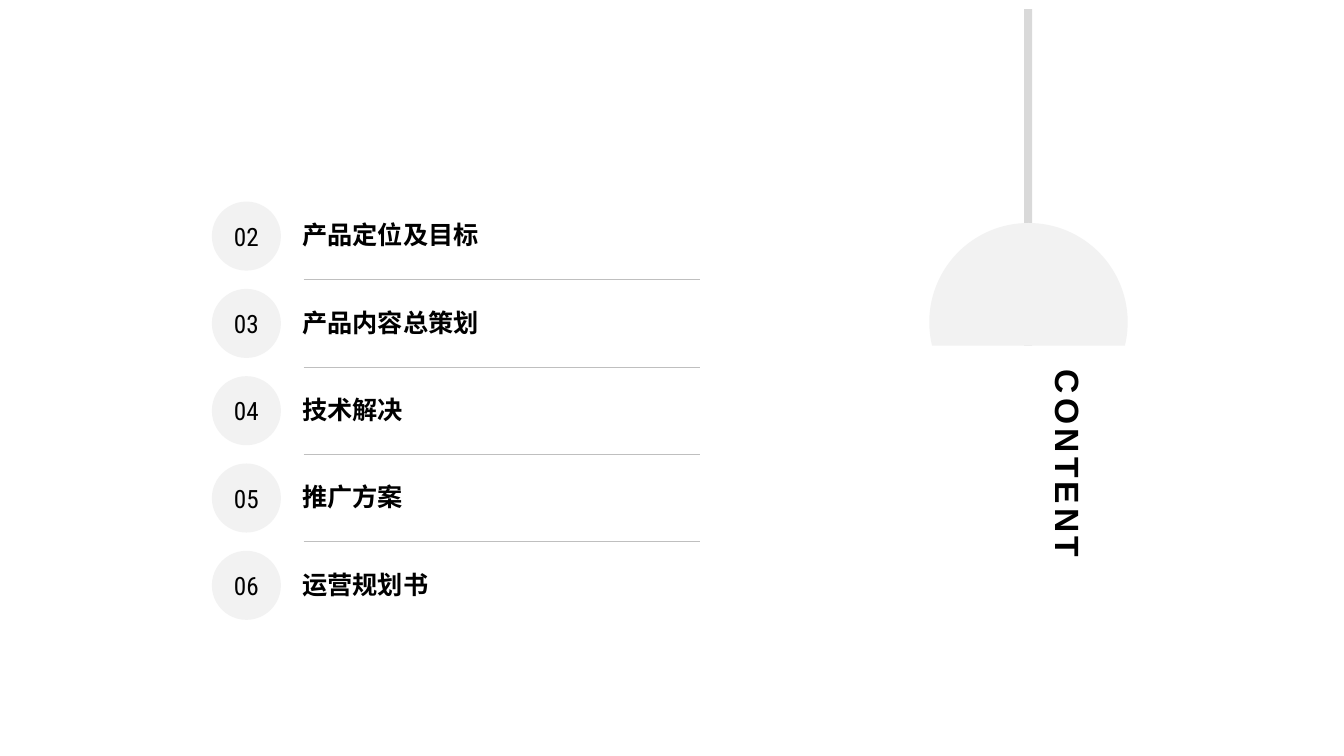
from dataclasses import dataclass
from math import asin, cos, pi, sin

from lxml import etree
from pptx import Presentation
from pptx.dml.color import RGBColor
from pptx.enum.shapes import MSO_CONNECTOR, MSO_SHAPE
from pptx.enum.text import MSO_ANCHOR, PP_ALIGN
from pptx.oxml.ns import qn
from pptx.util import Cm, Pt

RECTANGLE, OVAL = MSO_SHAPE.RECTANGLE, MSO_SHAPE.OVAL
STRAIGHT = MSO_CONNECTOR.STRAIGHT
MIDDLE, CENTER = MSO_ANCHOR.MIDDLE, PP_ALIGN.CENTER


@dataclass(frozen=True)
class Theme:
    ink: RGBColor = RGBColor(0x00, 0x00, 0x00)
    disc: RGBColor = RGBColor(0xF2, 0xF2, 0xF2)
    rod: RGBColor = RGBColor(0xD9, 0xD9, 0xD9)
    rule: RGBColor = RGBColor(0xBF, 0xBF, 0xBF)
    text_font: str = "Arial"
    number_font: str = "Roboto Condensed"
    item_size: Pt = Pt(18)
    title_size: Pt = Pt(24)
    rule_width: Pt = Pt(0.25)


THEME = Theme()
CHAPTERS = ["产品定位及目标", "产品内容总策划", "技术解决", "推广方案", "运营规划书"]
FIRST_NUMBER = 2
FIRST_TOP, ROW_PITCH = 5.08, 2.2
LAMP_X, LAMP_Y, LAMP_RADIUS, LAMP_BOTTOM = 25.92, 8.12, 2.5, 8.71


def format_text(frame, text, **font_values):
    paragraph = frame.paragraphs[0]
    run = paragraph.add_run()
    run.text = text
    run.font.color.rgb = THEME.ink
    for name, value in font_values.items():
        setattr(run.font, name, value)
    return paragraph, run


def paint(shape, color):
    shape.shadow.inherit = False
    shape.fill.solid()
    shape.fill.fore_color.rgb = color
    shape.line.fill.background()


def add_filled(slide, kind, left, top, width, height, color):
    shape = slide.shapes.add_shape(kind, Cm(left), Cm(top), Cm(width), Cm(height))
    paint(shape, color)
    return shape


def add_label(slide, text, left, top, width, height, size):
    box = slide.shapes.add_textbox(Cm(left), Cm(top), Cm(width), Cm(height))
    box.text_frame.word_wrap = True
    _, run = format_text(box.text_frame, text, name=THEME.text_font, size=size, bold=True)
    return box, run


def add_number(slide, number, top):
    disc = add_filled(slide, OVAL, 5.34, top, 1.74, 1.74, THEME.disc)
    frame = disc.text_frame
    frame.word_wrap = False
    frame.vertical_anchor = MIDDLE
    paragraph, _ = format_text(
        frame, f"{number:02}", name=THEME.number_font, size=THEME.item_size
    )
    paragraph.alignment = CENTER


def add_rule(slide, y):
    rule = slide.shapes.add_connector(STRAIGHT, Cm(7.65), Cm(y), Cm(17.65), Cm(y))
    rule.line.color.rgb = THEME.rule
    rule.line.width = THEME.rule_width
    etree.SubElement(rule._element.spPr, qn("a:effectLst"))


def add_lampshade(slide, steps=72):
    # Arc from the lower left over the top to the lower right, closed by a flat base
    dip = asin((LAMP_BOTTOM - LAMP_Y) / LAMP_RADIUS)
    angles = [pi - dip + (pi + 2 * dip) * step / steps for step in range(steps + 1)]
    points = [
        (Cm(LAMP_X + LAMP_RADIUS * cos(angle)), Cm(LAMP_Y + LAMP_RADIUS * sin(angle)))
        for angle in angles
    ]
    builder = slide.shapes.build_freeform(*points[0])
    builder.add_line_segments(points[1:], close=True)
    paint(builder.convert_to_shape(), THEME.disc)


def add_vertical_title(slide, text):
    box, run = add_label(slide, text, 26.01, 9.07, 1.55, 5.49, THEME.title_size)
    box.text_frame._txBody.bodyPr.set("vert", "eaVert")
    run.font._element.set("spc", "300")


def main():
    presentation = Presentation()
    presentation.slide_width, presentation.slide_height = Cm(33.87), Cm(19.05)
    slide = presentation.slides.add_slide(presentation.slide_layouts[6])

    # Hanging lamp with the title below
    add_filled(slide, RECTANGLE, 25.81, 0.23, 0.2, 8.48, THEME.rod)
    add_lampshade(slide)
    add_vertical_title(slide, "CONTENT")

    # Chapter list with rules between the rows
    for row, chapter in enumerate(CHAPTERS):
        top = FIRST_TOP + row * ROW_PITCH
        add_number(slide, FIRST_NUMBER + row, top)
        add_label(slide, chapter, 7.37, top + 0.33, 11.3, 1.09, THEME.item_size)
        if row < len(CHAPTERS) - 1:
            add_rule(slide, top + 1.96)

    presentation.save("out.pptx")


if __name__ == "__main__":
    main()
